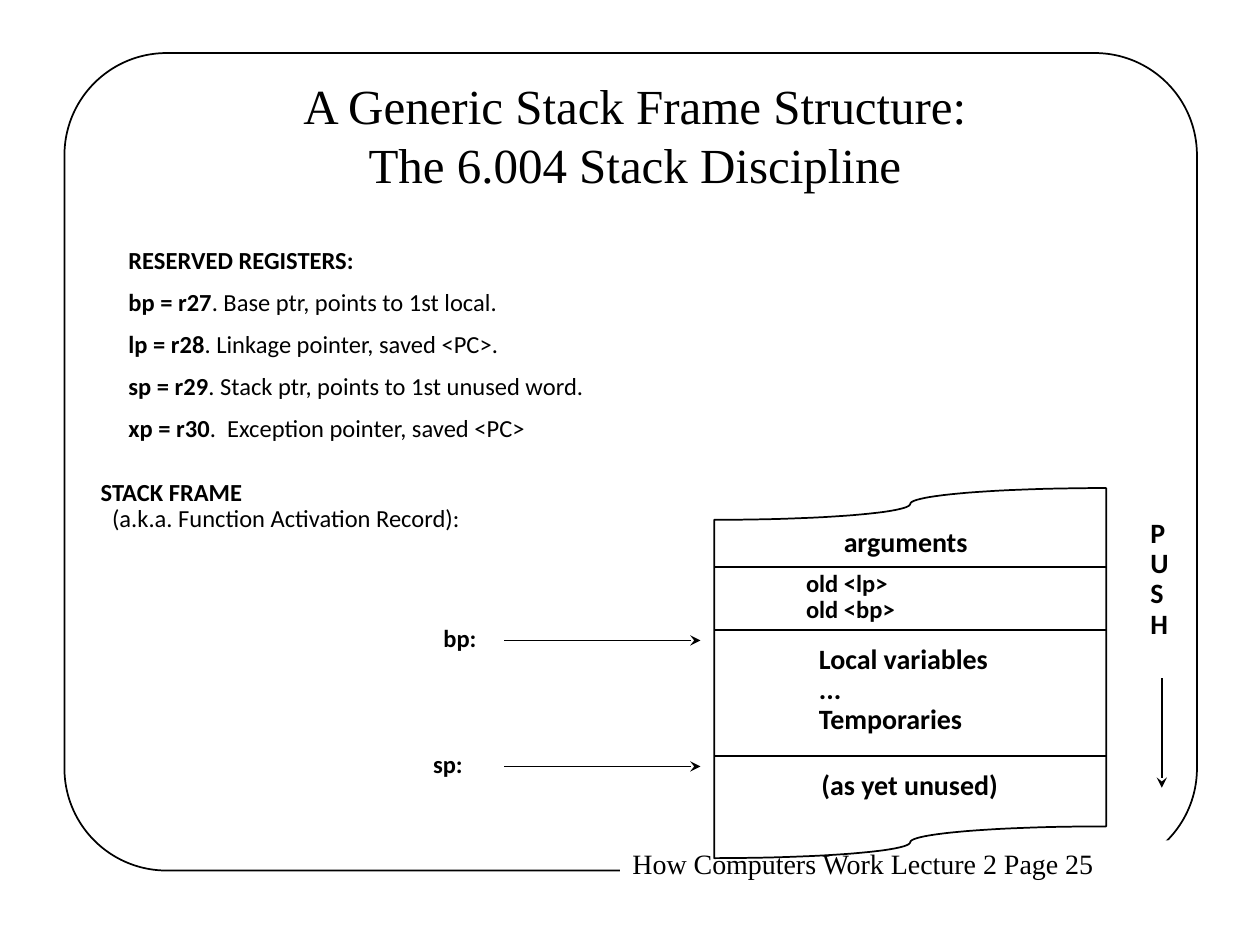
from math import cos, pi, sin

from lxml import etree
from pptx import Presentation
from pptx.dml.color import RGBColor
from pptx.enum.shapes import MSO_CONNECTOR, MSO_SHAPE
from pptx.enum.text import MSO_ANCHOR, MSO_AUTO_SIZE, PP_ALIGN
from pptx.oxml.ns import qn
from pptx.util import Cm, Pt

STRAIGHT = MSO_CONNECTOR.STRAIGHT
ROUNDED, RECTANGLE = MSO_SHAPE.ROUNDED_RECTANGLE, MSO_SHAPE.RECTANGLE
TOP, MIDDLE = MSO_ANCHOR.TOP, MSO_ANCHOR.MIDDLE
LEFT, CENTER = PP_ALIGN.LEFT, PP_ALIGN.CENTER
NO_FIT = MSO_AUTO_SIZE.NONE

BLACK, WHITE = "000000", "FFFFFF"
SERIF, SANS = "Times New Roman", "Calibri"
LINE_WIDTH = Pt(1)

TITLE = "A Generic Stack Frame Structure:\vThe 6.004 Stack Discipline"
TITLE_BOX = (2.54, 1.45, 20.52, 2.51)
FOOTER = "How Computers Work Lecture 2 Page 25"
FOOTER_BOX = (12.5, 16.94, 11.66, 0.94)
BORDER_BOX = (1.3, 1.07, 22.83, 16.48)

REGISTERS = [
    ("RESERVED REGISTERS:", ""),
    ("bp = r27", ". Base ptr, points to 1st local."),
    ("lp = r28", ". Linkage pointer, saved <PC>."),
    ("sp = r29", ". Stack ptr, points to 1st unused word."),
    ("xp = r30", ".  Exception pointer, saved <PC>"),
]
REGISTERS_BOX = (2.34, 4.88, 20.32, 4.17)
HEADING = [("STACK FRAME", ""), ("", "(a.k.a. Function Activation Record):")]
HEADING_BOX = (1.78, 9.55, 8.76, 1.32)

LABELS = [
    (["bp:"], (8.69, 12.5, 1.27, 0.79), 14, LEFT),
    (["sp:"], (8.48, 15.04, 1.22, 0.79), 14, LEFT),
    (["arguments"], (16.76, 10.52, 3.61, 0.86), 16, LEFT),
    (["old <lp>", "old <bp>"], (16, 11.38, 2.62, 1.32), 14, LEFT),
    (["Local variables", "...", "Temporaries"], (16.26, 12.88, 4.7, 2.08), 16, LEFT),
    (["(as yet unused)"], (15.95, 15.42, 4.78, 0.86), 16, CENTER),
    (["PUSH"], (22.94, 10.34, 0.69, 2.69), 16, CENTER),
]

STACK_LEFT, STACK_RIGHT = 14.4, 22.3
STACK_TOP, STACK_BOTTOM = 10.16, 16.98
WAVE_HEIGHT, WAVE_STEPS = 0.32, 48
DIVIDERS = [11.43, 12.7, 15.24]
POINTERS = [
    (10.16, 12.91, 14.12, 12.91),
    (10.16, 15.45, 14.12, 15.45),
    (23.42, 13.67, 23.42, 15.88),
]


def color(value):
    return RGBColor.from_string(value)


def lengths(values):
    return [Cm(value) for value in values]


def outline(shape):
    shape.line.color.rgb = color(BLACK)
    shape.line.width = LINE_WIDTH


def set_frame(frame, anchor, inset_x, inset_y):
    frame.word_wrap = True
    frame.auto_size = NO_FIT
    frame.vertical_anchor = anchor
    frame.margin_left = frame.margin_right = Cm(inset_x)
    frame.margin_top = frame.margin_bottom = Cm(inset_y)


def style(run, size, font=SANS, bold=False):
    run.font.size = Pt(size)
    run.font.name = font
    run.font.bold = bold
    run.font.color.rgb = color(BLACK)


def add_text(box, rows, size, align=LEFT, space=0):
    frame = slide.shapes.add_textbox(*lengths(box)).text_frame
    set_frame(frame, TOP, 0.25, 0.13)
    for index, row in enumerate(rows):
        paragraph = frame.add_paragraph() if index else frame.paragraphs[0]
        paragraph.alignment = align
        paragraph.line_spacing = 0.9
        paragraph.space_before = Pt(space)
        for text, bold in zip(row, (True, False)):
            if text:
                run = paragraph.add_run()
                run.text = text
                style(run, size, bold=bold)
    return frame


def add_line(ends, arrow=False):
    line = slide.shapes.add_connector(STRAIGHT, *lengths(ends))
    outline(line)
    if arrow:
        etree.SubElement(line.line._get_or_add_ln(), qn("a:tailEnd"), type="stealth")
    etree.SubElement(line._element.spPr, qn("a:effectLst"))


def wave(middle):
    half = (STACK_RIGHT - STACK_LEFT) / 2
    points = []
    for step in range(WAVE_STEPS + 1):
        angle = pi * step / WAVE_STEPS
        reach = half * sin(angle)
        x = STACK_LEFT + reach if angle <= pi / 2 else STACK_RIGHT - reach
        points.append((Cm(x), Cm(middle + WAVE_HEIGHT * cos(angle))))
    return points


prs = Presentation()
prs.slide_width, prs.slide_height = Cm(25.4), Cm(19.05)
slide = prs.slides.add_slide(prs.slide_layouts[5])

title = slide.shapes.title
title.left, title.top, title.width, title.height = lengths(TITLE_BOX)
title.text_frame.text = TITLE
set_frame(title.text_frame, MIDDLE, 0.18, 0.08)
title.text_frame.paragraphs[0].alignment = CENTER
for run in title.text_frame.paragraphs[0].runs:
    style(run, 28, SERIF)

border = slide.shapes.add_shape(ROUNDED, *lengths(BORDER_BOX))
border.adjustments[0] = 0.125
border.fill.background()
border.shadow.inherit = False
outline(border)

footer = slide.shapes.add_shape(RECTANGLE, *lengths(FOOTER_BOX))
footer.fill.solid()
footer.fill.fore_color.rgb = color(WHITE)
footer.line.fill.background()
footer.shadow.inherit = False
footer.text_frame.text = FOOTER
set_frame(footer.text_frame, TOP, 0.25, 0.13)
footer.text_frame.paragraphs[0].alignment = LEFT
style(footer.text_frame.paragraphs[0].runs[0], 16, SERIF)

edge = wave(STACK_TOP) + wave(STACK_BOTTOM)[::-1]
builder = slide.shapes.build_freeform(*edge[0])
builder.add_line_segments(edge[1:], close=True)
stack = builder.convert_to_shape()
stack.fill.background()
stack.shadow.inherit = False
outline(stack)

for y in DIVIDERS:
    add_line((STACK_LEFT, y, STACK_RIGHT, y))
for ends in POINTERS:
    add_line(ends, arrow=True)

add_text(REGISTERS_BOX, REGISTERS, 14, space=8.8)
heading = add_text(HEADING_BOX, HEADING, 14)
heading.paragraphs[1]._p.get_or_add_pPr().set("marL", str(Cm(0.23)))
for rows, box, size, align in LABELS:
    add_text(box, [(row,) for row in rows], size, align)

prs.save("out.pptx")
